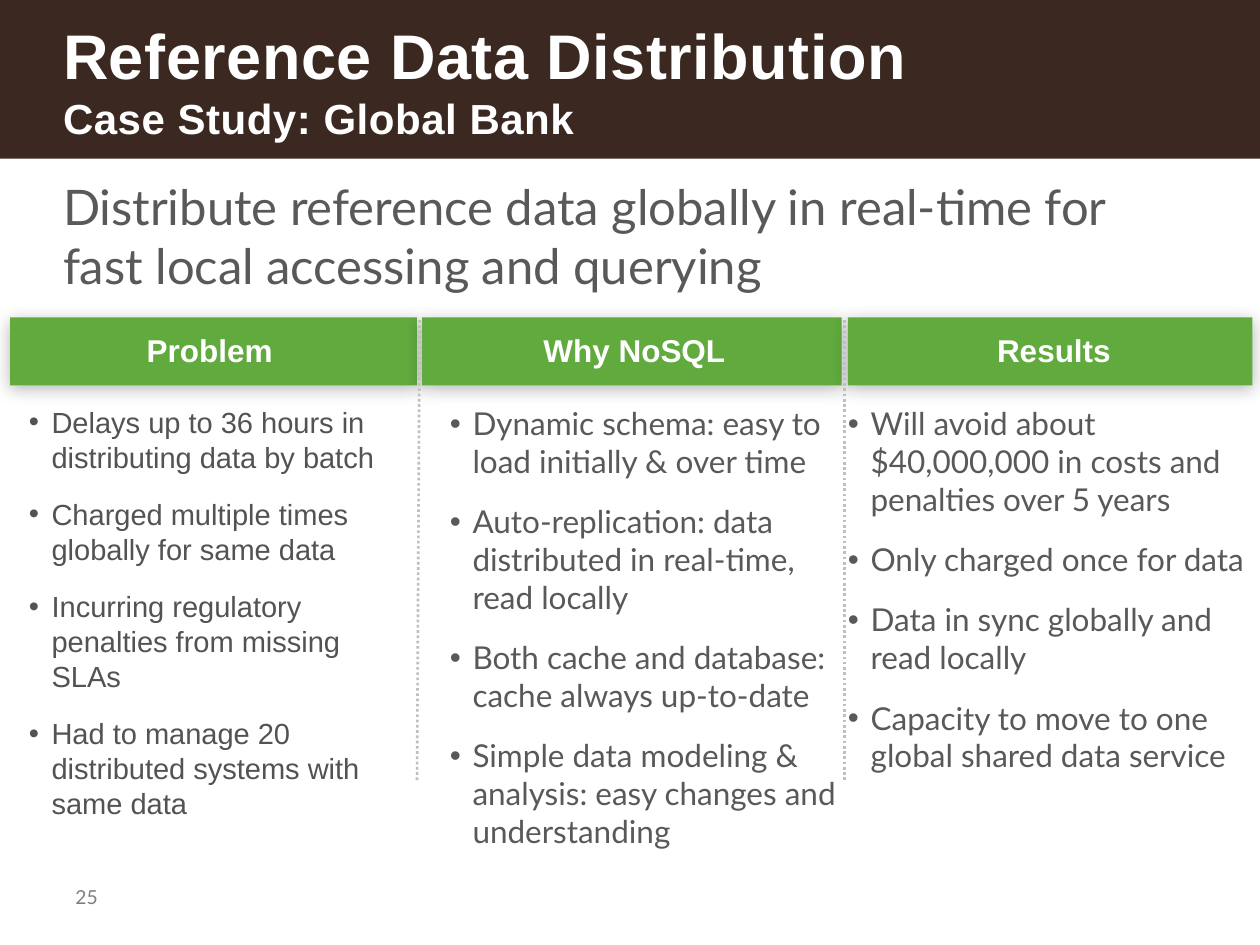
from lxml import etree
from pptx import Presentation
from pptx.dml.color import RGBColor
from pptx.enum.dml import MSO_LINE
from pptx.enum.shapes import MSO_CONNECTOR, MSO_SHAPE
from pptx.enum.text import MSO_ANCHOR, MSO_AUTO_SIZE, PP_ALIGN
from pptx.oxml import parse_xml
from pptx.oxml.ns import nsdecls, qn
from pptx.util import Inches, Pt

BROWN = RGBColor(0x3B, 0x29, 0x21)
GREEN = RGBColor(0x60, 0xAA, 0x3E)
WHITE = RGBColor(0xFF, 0xFF, 0xFF)
SLATE = RGBColor(0x59, 0x59, 0x59)
CHARCOAL = RGBColor(0x53, 0x53, 0x53)
GRAY = RGBColor(0x7F, 0x7F, 0x7F)
SILVER = RGBColor(0xBF, 0xBF, 0xBF)

SHADOW = f"""<a:effectLst {nsdecls("a")}>
  <a:outerShdw blurRad="{Pt(9.8)}" dist="{Pt(1.8)}" dir="5400000" rotWithShape="0">
    <a:srgbClr val="000000"><a:alpha val="28000"/></a:srgbClr>
  </a:outerShdw>
</a:effectLst>"""


def write(shape, *texts, font="Lato", size=18, color=SLATE, bold=False, align=PP_ALIGN.LEFT,
          anchor=MSO_ANCHOR.TOP, inset=0, gap=0, bullet=False):
    frame = shape.text_frame
    frame.word_wrap = True
    frame.auto_size = MSO_AUTO_SIZE.NONE
    frame.vertical_anchor = anchor
    frame.margin_left = frame.margin_right = Inches(inset)
    frame.margin_top = frame.margin_bottom = Inches(inset / 2)
    for index, text in enumerate(texts):
        paragraph = frame.add_paragraph() if index else frame.paragraphs[0]
        properties = paragraph._p.get_or_add_pPr()
        indent = Inches(0.18) if bullet else 0
        properties.set("marL", str(indent))
        properties.set("indent", str(-indent))
        if bullet:
            etree.SubElement(properties, qn("a:buFont")).set("typeface", "Arial")
            etree.SubElement(properties, qn("a:buChar")).set("char", "•")
        else:
            etree.SubElement(properties, qn("a:buNone"))
        paragraph.alignment = align
        paragraph.space_before = Pt(gap if index else 0)
        run = paragraph.add_run()
        run.text = text
        run.font.name = font
        run.font.size = Pt(size)
        run.font.bold = bold
        run.font.color.rgb = color


presentation = Presentation()
presentation.slide_width = Inches(10)
presentation.slide_height = Inches(7.5)
slide = presentation.slides.add_slide(presentation.slide_layouts[1])
shapes = slide.shapes
title, summary = slide.placeholders

banner = shapes.add_shape(MSO_SHAPE.RECTANGLE, 0, 0, presentation.slide_width, Inches(1.26))
banner.shadow.inherit = False
banner.fill.solid()
banner.fill.fore_color.rgb = BROWN
banner.line.fill.background()
shapes._spTree.insert(2, banner._element)

title.left, title.top, title.width, title.height = map(Inches, (0.5, 0.01, 9, 1.25))
write(title, "Reference Data Distribution", font="Arial", size=36, color=WHITE, bold=True,
      anchor=MSO_ANCHOR.MIDDLE)
heading = title.text_frame.paragraphs[0]
heading.add_line_break()
subtitle = heading.add_run()
subtitle.text = "Case Study: Global Bank"
subtitle.font.name = "Arial"
subtitle.font.size = Pt(24)
subtitle.font.bold = True
subtitle.font.color.rgb = WHITE
for run in heading.runs:
    run.font._element.set("spc", "30")

summary.left, summary.top, summary.width, summary.height = map(Inches, (0.5, 1.4, 8.37, 1.07))
write(summary, "Distribute reference data globally in real-time for fast local accessing and querying",
      size=28)

HEADER_TOP, HEADER_HEIGHT = 2.52, 0.54
LABEL_WIDTH = 3.33
BULLETS_TOP = 3.21
arial_body = {"font": "Arial", "size": 16.6, "color": CHARCOAL}
columns = [
    ("Problem", 0.08, 3.23, 0, 0.23, 2.87, 3.46, arial_body, [
        "Delays up to 36 hours in distributing data by batch",
        "Charged multiple times globally for same data",
        "Incurring regulatory penalties from missing SLAs",
        "Had to manage 20 distributed systems with same data"]),
    ("Why NoSQL", 3.35, 3.33, 3.37, 3.57, 3.11, 3.89, {}, [
        "Dynamic schema: easy to load initially & over time",
        "Auto-replication: data distributed in real-time, read locally",
        "Both cache and database: cache always up-to-date",
        "Simple data modeling & analysis: easy changes and understanding"]),
    ("Results", 6.73, 3.21, 6.7, 6.73, 3.21, 3.29, {}, [
        "Will avoid about $40,000,000 in costs and penalties over 5 years",
        "Only charged once for data",
        "Data in sync globally and read locally",
        "Capacity to move to one global shared data service"]),
]
for label, left, width, label_left, list_left, list_width, list_height, style, points in columns:
    header = shapes.add_shape(MSO_SHAPE.RECTANGLE, Inches(left), Inches(HEADER_TOP),
                              Inches(width), Inches(HEADER_HEIGHT))
    header.fill.solid()
    header.fill.fore_color.rgb = GREEN
    header.line.fill.background()
    header._element.spPr.append(parse_xml(SHADOW))
    caption = shapes.add_textbox(Inches(label_left), Inches(2.63), Inches(LABEL_WIDTH), Inches(0.32))
    write(caption, label, font="Arial", color=WHITE, bold=True, align=PP_ALIGN.CENTER)
    bullets = shapes.add_textbox(Inches(list_left), Inches(BULLETS_TOP),
                                 Inches(list_width), Inches(list_height))
    write(bullets, *points, gap=12.8, bullet=True, **style)

for top_x, bottom_x in [(3.33, 3.31), (6.7, 6.7)]:
    divider = shapes.add_connector(MSO_CONNECTOR.STRAIGHT, Inches(top_x), Inches(2.54),
                                   Inches(bottom_x), Inches(6.2))
    divider.line.color.rgb = SILVER
    divider.line.width = Pt(1.5)
    divider.line.dash_style = MSO_LINE.ROUND_DOT
    etree.SubElement(divider._element.spPr, qn("a:effectLst"))

page_number = shapes.add_textbox(Inches(0.5), Inches(6.98), Inches(2.34), Inches(0.28))
write(page_number, "25", size=11, color=GRAY, inset=0.1)

presentation.save("out.pptx")
